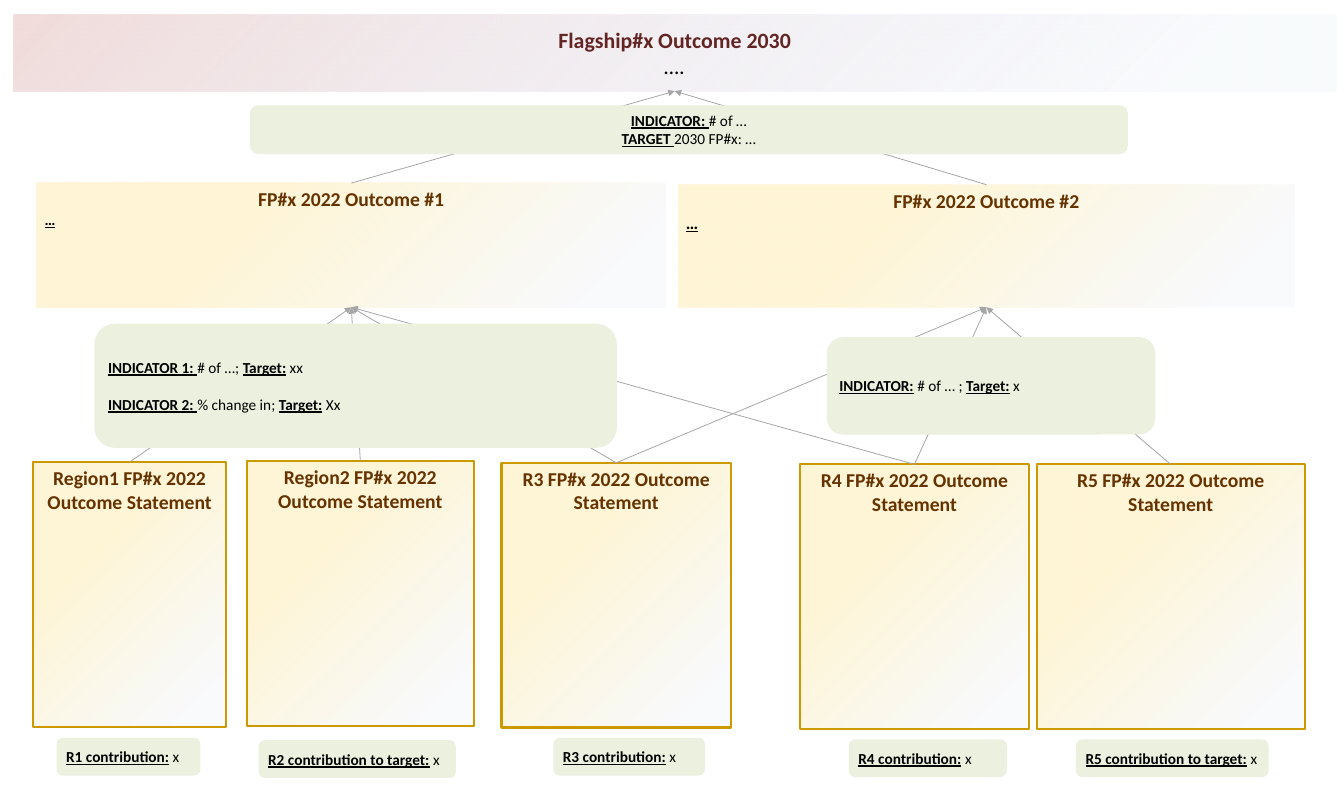
from dataclasses import dataclass
from typing import Any

import pptx
import pptx.dml.color
import pptx.enum.shapes
import pptx.enum.text
import pptx.oxml
import pptx.oxml.ns
import pptx.util

Inches = pptx.util.Inches
Pt = pptx.util.Pt
Preset = pptx.enum.shapes.MSO_SHAPE
Align = pptx.enum.text.PP_ALIGN
Anchor = pptx.enum.text.MSO_ANCHOR

COLORS = {
    "flagship": "632523", "outcome": "663300", "text": "000000",
    "indicator": "EBF1DE", "border": "CC9900", "arrow": "A6A6A6",
    "mist": "E1E8F5", "rose": "F2DCDB", "amber": "FFC000",
}
FLAGSHIP_STOPS = ((12, "mist", 18), (100, "rose", 100))
OUTCOME_STOPS = ((12, "mist", 18), (69, "amber", 16))
HEADING = {"name": "Calibri", "bold": True}
STRONG = {"name": "Calibri", "size": Pt(14), "bold": True, "underline": True}
PLAIN = {"name": "Calibri", "size": Pt(14), "bold": False, "underline": False}


@dataclass(frozen=True)
class Frame:
    left: float
    top: float
    width: float
    height: float


@dataclass(frozen=True)
class Outcome:
    frame: Frame
    heading: str
    dots_size: int


@dataclass(frozen=True)
class Region:
    frame: Frame
    name: str
    targets: tuple[int, ...]
    contribution_frame: Frame
    contribution: str


@dataclass(frozen=True)
class Indicator:
    frame: Frame
    lines: tuple[tuple[str, ...], ...]
    align: Any = Align.LEFT
    gap: int = 0


OUTCOMES = (
    Outcome(Frame(0.47, 2.33, 8, 1.58), "FP#x 2022 Outcome #1", 14),
    Outcome(Frame(8.63, 2.35, 7.84, 1.56), "FP#x 2022 Outcome #2", 16),
)
REGIONS = (
    Region(Frame(0.42, 5.88, 2.46, 3.37), "Region1", (0,),
           Frame(0.72, 9.39, 1.83, 0.48), "R1 contribution:"),
    Region(Frame(3.14, 5.87, 2.89, 3.37), "Region2", (0,),
           Frame(3.29, 9.42, 2.51, 0.48), "R2 contribution to target:"),
    Region(Frame(6.38, 5.89, 2.92, 3.37), "R3", (0, 1),
           Frame(7.04, 9.39, 1.93, 0.48), "R3 contribution:"),
    Region(Frame(10.18, 5.91, 2.91, 3.37), "R4", (0, 1),
           Frame(10.8, 9.41, 2.01, 0.48), "R4 contribution:"),
    Region(Frame(13.19, 5.91, 3.41, 3.37), "R5", (1,),
           Frame(13.69, 9.41, 2.45, 0.48), "R5 contribution to target:"),
)
INDICATORS = (
    Indicator(Frame(1.2, 4.12, 6.65, 1.58), (
        ("INDICATOR 1: ", "# of …; ", "Target:", " xx"),
        ("INDICATOR 2: ", "% change in; ", "Target:", " Xx")), gap=17),
    Indicator(Frame(10.52, 4.29, 4.18, 1.24),
              (("INDICATOR:", " # of … ; ", "Target:", " x"),)),
    Indicator(Frame(3.18, 1.34, 11.17, 0.62), (
        ("INDICATOR: ", "# of …"), ("TARGET ", "2030 FP#x: …")), Align.CENTER),
    *(Indicator(region.contribution_frame, ((region.contribution, " x"),))
      for region in REGIONS),
)


def rgb(color: str) -> Any:
    return pptx.dml.color.RGBColor.from_string(COLORS[color])


def xml(markup: str) -> Any:
    namespace = pptx.oxml.ns.nsdecls("a")
    return pptx.oxml.parse_xml(markup.replace(">", f" {namespace}>", 1))


def add_span(para: Any, text: str, color: str, values: dict[str, Any]) -> None:
    span = para.add_run()
    span.text = text
    span.font.color.rgb = rgb(color)
    for name, value in values.items():
        setattr(span.font, name, value)


def prepare_text(box: Any, anchor: Any) -> None:
    values = {"word_wrap": True, "vertical_anchor": anchor,
              "auto_size": pptx.enum.text.MSO_AUTO_SIZE.NONE,
              "margin_left": Inches(0.1), "margin_right": Inches(0.1),
              "margin_top": Inches(0.05), "margin_bottom": Inches(0.05)}
    for name, value in values.items():
        setattr(box.text_frame, name, value)


def add_box(page: Any, frame: Frame, preset: Any, anchor: Any) -> Any:
    box = page.shapes.add_shape(preset, Inches(frame.left), Inches(frame.top),
                                Inches(frame.width), Inches(frame.height))
    box.shadow.inherit = False
    box.line.fill.background()
    prepare_text(box, anchor)
    return box


def fill_gradient(box: Any, stops: tuple[tuple[int, str, int], ...]) -> None:
    marks = "".join(
        f'<a:gs pos="{position * 1000}"><a:srgbClr val="{COLORS[color]}">'
        f'<a:alpha val="{opacity * 1000}"/></a:srgbClr></a:gs>'
        for position, color, opacity in stops)
    gradient = xml(
        f'<a:gradFill rotWithShape="1"><a:gsLst>{marks}</a:gsLst><a:path path="circle">'
        '<a:fillToRect l="100000" t="100000"/></a:path></a:gradFill>')
    properties = box._element.spPr
    properties.find(pptx.oxml.ns.qn("a:prstGeom")).addnext(gradient)


def add_heading_box(page: Any, frame: Frame, heading: str) -> Any:
    box = add_box(page, frame, Preset.RECTANGLE, Anchor.TOP)
    fill_gradient(box, OUTCOME_STOPS)
    para = box.text_frame.paragraphs[0]
    para.alignment = Align.CENTER
    add_span(para, heading, "outcome", HEADING | {"size": Pt(18)})
    return box


def add_flagship(page: Any) -> Any:
    title = page.shapes.title
    values = {"left": 0.17, "top": 0.18, "width": 16.83, "height": 0.98}
    for name, value in values.items():
        setattr(title, name, Inches(value))
    title._element.spPr.append(xml('<a:prstGeom prst="roundRect"><a:avLst/></a:prstGeom>'))
    fill_gradient(title, FLAGSHIP_STOPS)
    prepare_text(title, Anchor.MIDDLE)
    heading = title.text_frame.paragraphs[0]
    dots = title.text_frame.add_paragraph()
    heading.alignment = dots.alignment = Align.CENTER
    add_span(heading, "Flagship#x Outcome 2030", "flagship", HEADING | {"size": Pt(20)})
    add_span(dots, "….", "text", {"name": "Calibri", "size": Pt(20), "italic": True})
    return title


def add_outcome(page: Any, outcome: Outcome) -> Any:
    box = add_heading_box(page, outcome.frame, outcome.heading)
    para = box.text_frame.add_paragraph()
    para.alignment = Align.LEFT
    add_span(para, "…", "text", STRONG | {"size": Pt(outcome.dots_size)})
    return box


def add_region(page: Any, region: Region) -> Any:
    box = add_heading_box(page, region.frame, f"{region.name} FP#x 2022 Outcome Statement")
    box.line.color.rgb = rgb("border")
    box.line.width = Pt(2)
    return box


def add_arrow(page: Any, lower: Any, upper: Any) -> None:
    arrow = page.shapes.add_connector(pptx.enum.shapes.MSO_CONNECTOR.STRAIGHT, 0, 0, 0, 0)
    arrow.begin_connect(lower, 0)
    arrow.end_connect(upper, 2)
    arrow.line.color.rgb = rgb("arrow")
    arrow.line.width = Pt(0.75)
    arrow.line._get_or_add_ln().append(xml('<a:tailEnd type="triangle"></a:tailEnd>'))
    arrow._element.spPr.append(xml("<a:effectLst></a:effectLst>"))


def add_indicator(page: Any, indicator: Indicator) -> None:
    box = add_box(page, indicator.frame, Preset.ROUNDED_RECTANGLE, Anchor.MIDDLE)
    box.fill.solid()
    box.fill.fore_color.rgb = rgb("indicator")
    for row, texts in enumerate(indicator.lines):
        para = box.text_frame.add_paragraph() if row else box.text_frame.paragraphs[0]
        para.alignment = indicator.align
        para.space_before = Pt(indicator.gap if row else 0)
        for index, text in enumerate(texts):
            add_span(para, text, "text", PLAIN if index % 2 else STRONG)


def main() -> None:
    deck = pptx.Presentation()
    deck.slide_width, deck.slide_height = Inches(17.1), Inches(9.99)
    page = deck.slides.add_slide(deck.slide_layouts.get_by_name("Title Only"))
    flagship = add_flagship(page)
    outcome_boxes = [add_outcome(page, outcome) for outcome in OUTCOMES]
    region_boxes = [add_region(page, region) for region in REGIONS]
    for box in outcome_boxes:
        add_arrow(page, box, flagship)
    for region, box in zip(REGIONS, region_boxes):
        for target in region.targets:
            add_arrow(page, box, outcome_boxes[target])
    for indicator in INDICATORS:
        add_indicator(page, indicator)
    deck.save("out.pptx")


main()
